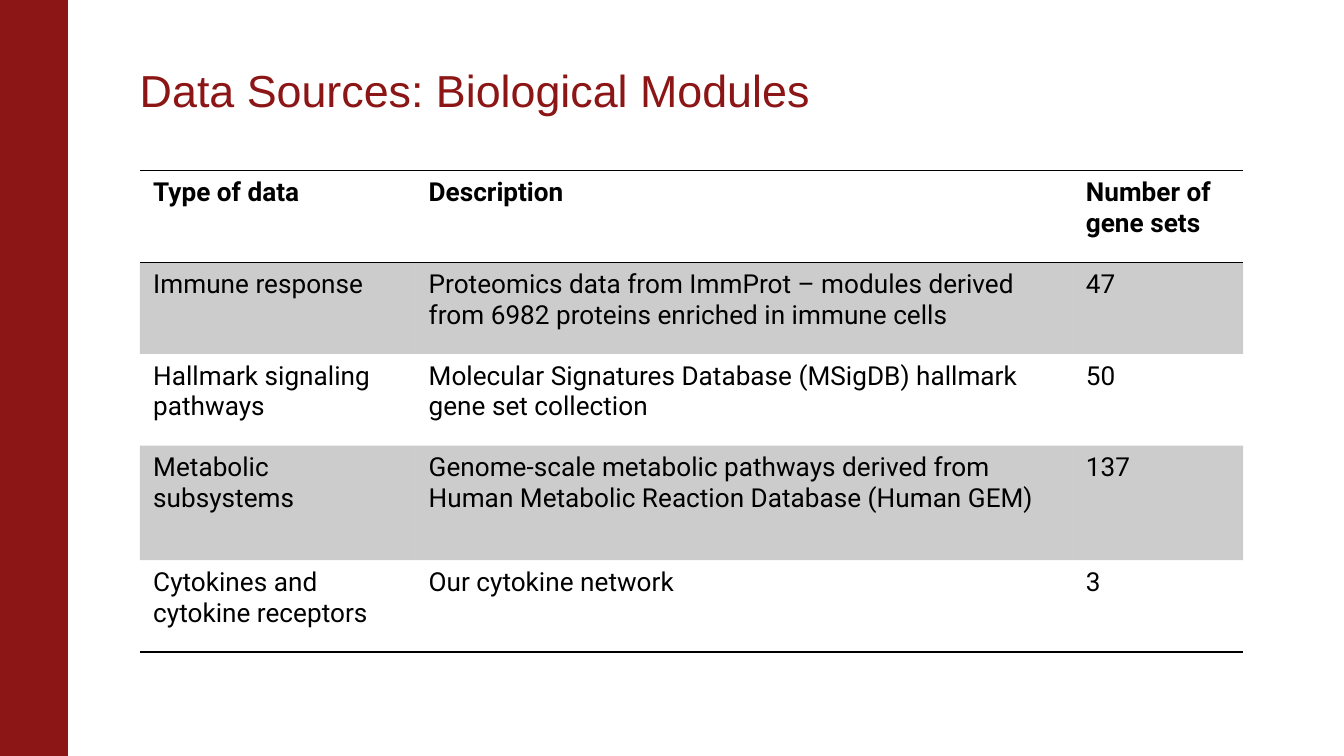
from lxml.etree import SubElement
from pptx import Presentation
from pptx.dml.color import RGBColor
from pptx.enum.shapes import MSO_SHAPE
from pptx.enum.text import MSO_ANCHOR
from pptx.oxml import parse_xml
from pptx.oxml.ns import nsdecls, qn
from pptx.util import Inches, Pt

CARDINAL = RGBColor(0x8C, 0x15, 0x15)
BLACK = RGBColor(0, 0, 0)
WIDTH = Inches(10)
HEIGHT = WIDTH * 9 // 16
LEFT = Inches(1.04)
NO_STYLE = "{2D5ABB26-0587-4C30-8999-92F81FD0307C}"

COLUMN_WIDTHS = [2.05, 4.89, 1.27]
ROW_HEIGHTS = [0.68, 0.68, 0.68, 0.85, 0.68]
ROWS = [
    ("Type of data", "Description", "Number of gene sets"),
    ("Immune response",
     "Proteomics data from ImmProt – modules derived from 6982 proteins enriched in immune cells",
     "47"),
    ("Hallmark signaling pathways",
     "Molecular Signatures Database (MSigDB) hallmark gene set collection",
     "50"),
    ("Metabolic subsystems",
     "Genome-scale metabolic pathways derived from Human Metabolic Reaction Database (Human GEM)",
     "137"),
    ("Cytokines and cytokine receptors", "Our cytokine network", "3"),
]


def write(frame, text, *, font, size, color, bold=False, spacing=None):
    para = frame.paragraphs[0]
    para.line_spacing = spacing
    span = para.add_run()
    span.text = text
    span.font.name = font
    span.font.size = Pt(size)
    span.font.bold = bold
    span.font.color.rgb = color


def add_side_band(page, left, top, width, height):
    band = page.shapes.add_shape(MSO_SHAPE.RECTANGLE, left, top, width, height)
    band.shadow.inherit = False
    band.fill.solid()
    band.fill.fore_color.rgb = CARDINAL
    band.line.color.rgb = CARDINAL
    band.line.width = Pt(0.75)


def add_title(page, text, left, top, width, height):
    box = page.shapes.add_textbox(left, top, width, height)
    frame = box.text_frame
    frame.word_wrap = True
    frame.vertical_anchor = MSO_ANCHOR.BOTTOM
    frame.margin_left = 0
    write(frame, text, font="Arial", size=24, color=CARDINAL, spacing=0.85)


def shade(cell):
    """Fill the cell with black at 20% opacity."""
    cell.fill.solid()
    cell.fill.fore_color.rgb = BLACK
    color = cell._tc.tcPr.find(qn("a:solidFill"))[0]
    SubElement(color, qn("a:alpha"), val="20000")


def rule(cell, sides):
    """Draw black 1 pt borders on the given sides, placed ahead of the fill."""
    for position, side in enumerate(sides):
        border = parse_xml(
            f'<a:ln{side} {nsdecls("a")} w="{Pt(1)}"><a:solidFill>'
            f'<a:srgbClr val="{BLACK}"/></a:solidFill></a:ln{side}>')
        cell._tc.get_or_add_tcPr().insert(position, border)


def add_source_table(page, left, top, width, height):
    graphic = page.shapes.add_table(len(ROWS), len(COLUMN_WIDTHS), left, top, width, height)
    table = graphic.table
    table.first_row = table.horz_banding = False
    table._tbl.tblPr.find(qn("a:tableStyleId")).text = NO_STYLE
    for column, share in zip(table.columns, COLUMN_WIDTHS):
        column.width = int(width * share / sum(COLUMN_WIDTHS))
    for row, share in zip(table.rows, ROW_HEIGHTS):
        row.height = int(height * share / sum(ROW_HEIGHTS))

    borders = {0: "TB", len(ROWS) - 1: "B"}
    for row_index, texts in enumerate(ROWS):
        for column_index, text in enumerate(texts):
            cell = table.cell(row_index, column_index)
            write(cell.text_frame, text, font="Roboto", size=14, color=BLACK,
                  bold=row_index == 0)
            if row_index % 2:
                shade(cell)
            else:
                cell.fill.background()
            rule(cell, borders.get(row_index, ""))


def main():
    deck = Presentation()
    deck.slide_width, deck.slide_height = WIDTH, HEIGHT
    page = deck.slides.add_slide(deck.slide_layouts[6])
    add_side_band(page, 0, 0, int(WIDTH * 0.05), HEIGHT)
    add_title(page, "Data Sources: Biological Modules",
              LEFT, Inches(0.39), Inches(8.43), Inches(0.53))
    add_source_table(page, LEFT, Inches(1.27),
                     Inches(sum(COLUMN_WIDTHS)), Inches(3.58))
    deck.save("out.pptx")


if __name__ == "__main__":
    main()
